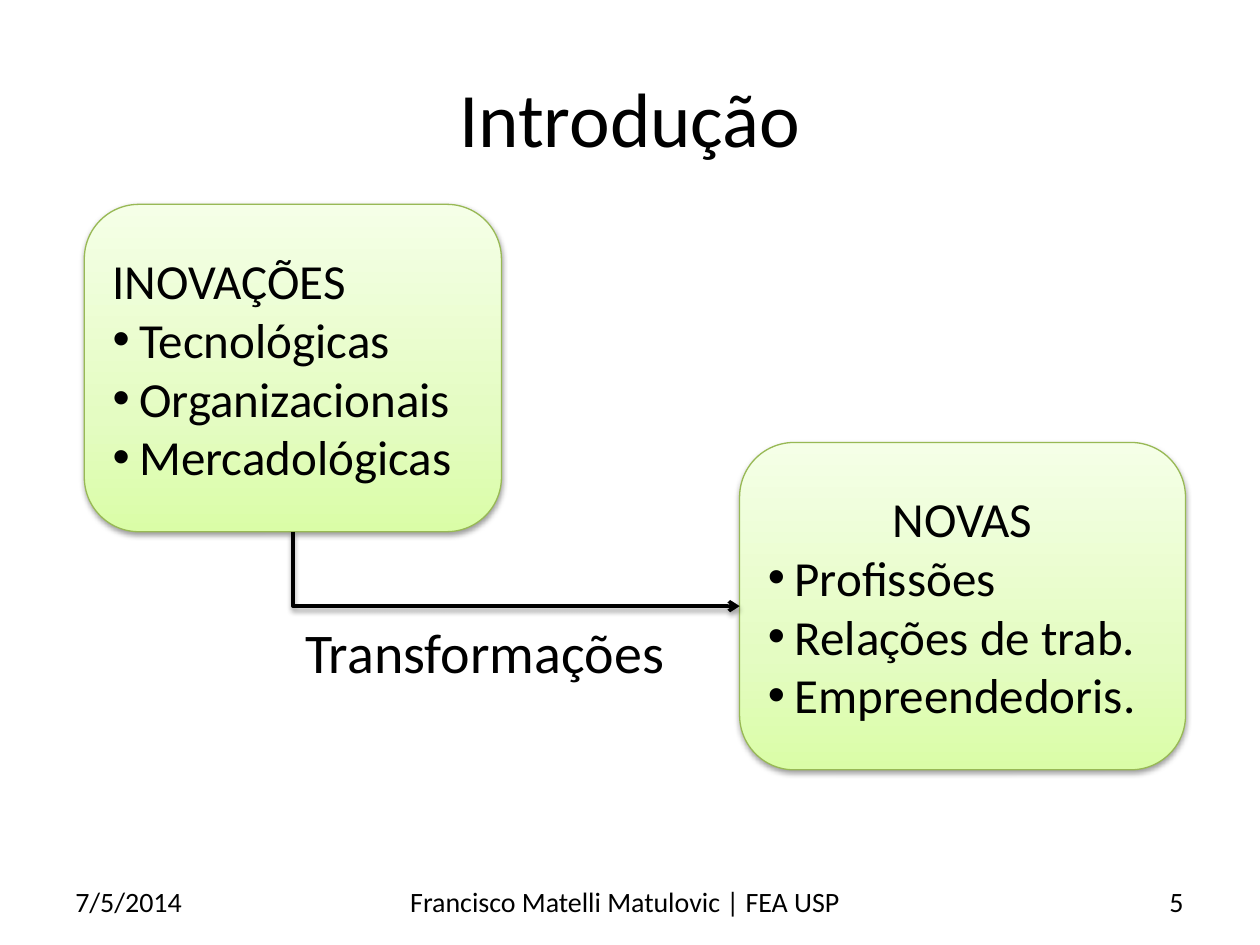
from lxml import etree
from pptx import Presentation
from pptx import util as u
from pptx.dml.color import RGBColor
from pptx.enum import shapes, text
from pptx.oxml import parse_xml
from pptx.oxml.ns import nsdecls, qn

FONT = "Calibri"
BLACK = "000000"
GREEN_LINE = "98B955"
GREEN_STOPS = [(0, "DAFDA7"), (35, "E4FCC2"), (100, "F5FFE7")]
LEFT, CENTER, RIGHT = text.PP_ALIGN.LEFT, text.PP_ALIGN.CENTER, text.PP_ALIGN.RIGHT


def rgb(value):
    return RGBColor.from_string(value)


def add_bullet(p, indent=0.54):
    pPr = p._p.get_or_add_pPr()
    pPr.set("marL", str(u.Cm(indent)))
    pPr.set("indent", str(-u.Cm(indent)))
    etree.SubElement(pPr, qn("a:buFont"), typeface="Arial")
    etree.SubElement(pPr, qn("a:buChar"), char="•")


def write(tf, content, size=28, color=BLACK, align=LEFT, bullet=False, first=True):
    p = tf.paragraphs[0] if first else tf.add_paragraph()
    if bullet:
        add_bullet(p)
    p.alignment = align
    r = p.add_run()
    r.text = content
    r.font.name, r.font.size, r.font.color.rgb = FONT, u.Pt(size), rgb(color)


def add_shadow(sp):
    sp._element.spPr.append(parse_xml(
        f'<a:effectLst {nsdecls("a")}><a:outerShdw blurRad="40000" dist="20000" '
        f'dir="5400000" rotWithShape="0"><a:srgbClr val="{BLACK}">'
        '<a:alpha val="38000"/></a:srgbClr></a:outerShdw></a:effectLst>'))


def fill_gradient(sp, stops):
    gs = "".join(f'<a:gs pos="{pos * 1000}"><a:srgbClr val="{color}"/></a:gs>'
                 for pos, color in stops)
    geometry = sp._element.spPr.find(qn("a:prstGeom"))
    geometry.addnext(parse_xml(
        f'<a:gradFill {nsdecls("a")} rotWithShape="1"><a:gsLst>{gs}</a:gsLst>'
        '<a:lin ang="16200000" scaled="0"/></a:gradFill>'))


def add_title(slide, box, content):
    sp = slide.shapes.title
    sp.left, sp.top, sp.width, sp.height = map(u.Cm, box)
    sp.text_frame.vertical_anchor = text.MSO_ANCHOR.MIDDLE
    write(sp.text_frame, content, size=44, align=CENTER)


def add_text(slide, box, content, wrap=True, anchor=text.MSO_ANCHOR.MIDDLE, **fmt):
    tf = slide.shapes.add_textbox(*map(u.Cm, box)).text_frame
    tf.word_wrap, tf.vertical_anchor = wrap, anchor
    if not wrap:
        tf.auto_size = text.MSO_AUTO_SIZE.SHAPE_TO_FIT_TEXT
    write(tf, content, **fmt)


def add_footer(slide, box, date, author, number):
    left, top, width, height = box
    side, middle = 5.92, 9.8
    parts = [(0, side, date, LEFT),
             (6.43, middle, author, CENTER),
             (width - side, side, number, RIGHT)]
    for dx, w, content, align in parts:
        add_text(slide, (left + dx, top, w, height), content, size=16, align=align)


def add_card(slide, box, heading, items, align=LEFT):
    sp = slide.shapes.add_shape(shapes.MSO_SHAPE.ROUNDED_RECTANGLE, *map(u.Cm, box))
    fill_gradient(sp, GREEN_STOPS)
    sp.line.color.rgb, sp.line.width = rgb(GREEN_LINE), u.Pt(0.75)
    add_shadow(sp)
    tf = sp.text_frame
    tf.word_wrap, tf.vertical_anchor = True, text.MSO_ANCHOR.MIDDLE
    write(tf, heading, align=align)
    for item in items:
        write(tf, item, bullet=True, first=False)
    return sp


def add_elbow_arrow(slide, source, target):
    """Go down from the bottom of source, then right to the left side of target."""
    x1, y1 = source.left + source.width // 2, source.top + source.height
    x2, y2 = target.left, target.top + target.height // 2
    line = slide.shapes.add_connector(shapes.MSO_CONNECTOR.ELBOW, x1, y1, x2, y2)
    line.begin_connect(source, 2)
    line.end_connect(target, 1)
    # A one-bend connector starts sideways, so its frame is turned and mirrored
    run, drop = x2 - x1, y2 - y1
    line.left, line.top = (x1 + x2 - drop) // 2, (y1 + y2 - run) // 2
    line.width, line.height = drop, run
    spPr = line._element.spPr
    spPr.find(qn("a:prstGeom")).set("prst", "bentConnector2")
    xfrm = spPr.find(qn("a:xfrm"))
    xfrm.set("rot", "16200000")
    xfrm.set("flipH", "1")
    line.line.color.rgb, line.line.width = rgb(BLACK), u.Pt(2)
    etree.SubElement(spPr.find(qn("a:ln")), qn("a:tailEnd"), type="arrow")
    add_shadow(line)


def main():
    prs = Presentation()
    prs.slide_width, prs.slide_height = u.Cm(25.4), u.Cm(19.05)
    slide = prs.slides.add_slide(prs.slide_layouts[5])

    # Title and footer
    add_title(slide, (1.27, 0.76, 22.86, 3.18), "Introdução")
    add_footer(slide, (1.27, 17.65, 22.84, 1.02), "7/5/2014",
               "Francisco Matelli Matulovic | FEA USP", "5")

    # Cause and effect
    causes = add_card(slide, (1.7, 4.12, 8.41, 6.6), "INOVAÇÕES",
                      ["Tecnológicas", "Organizacionais", "Mercadológicas"])
    effects = add_card(slide, (14.91, 8.92, 8.99, 6.6), "NOVAS",
                       ["Profissões", "Relações de trab.", "Empreendedoris."],
                       align=CENTER)
    add_elbow_arrow(slide, causes, effects)
    add_text(slide, (5.9, 12.32, 7.82, 1.63), "Transformações", wrap=False,
             anchor=text.MSO_ANCHOR.TOP, size=32)

    prs.save("out.pptx")


if __name__ == "__main__":
    main()
